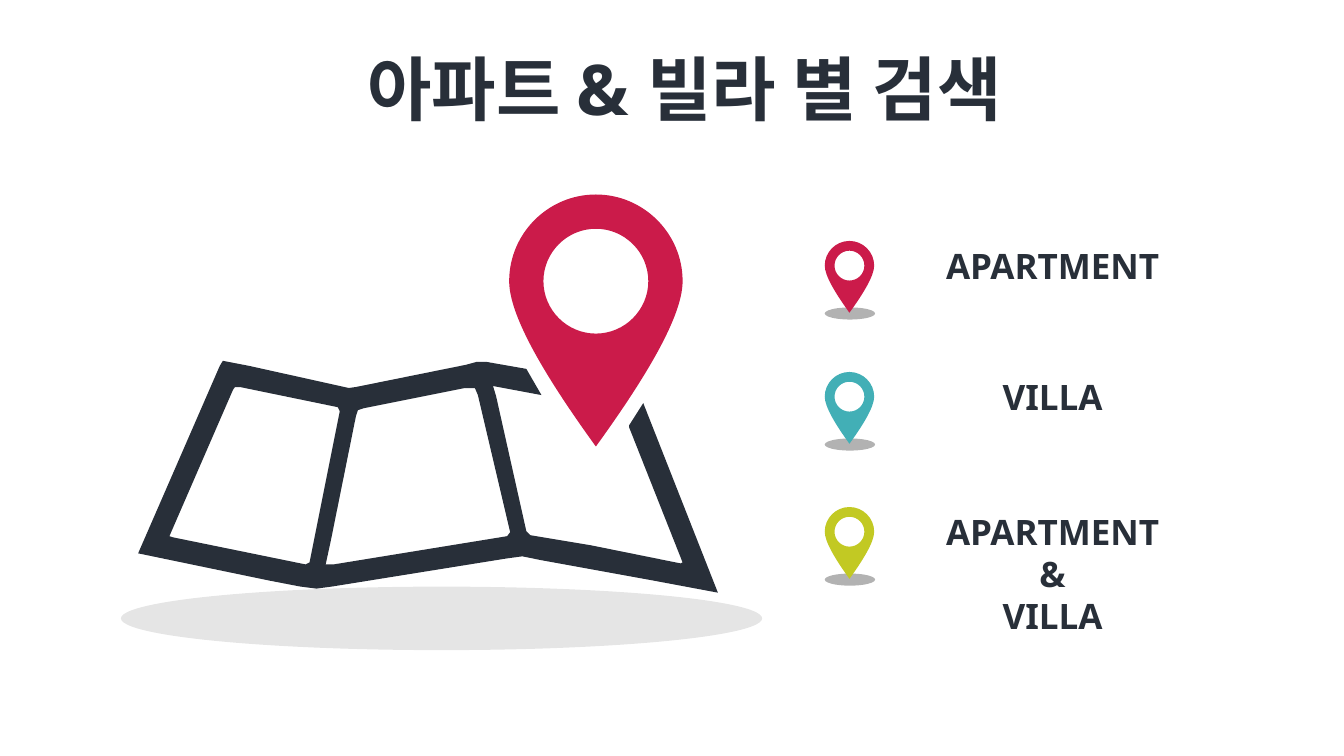
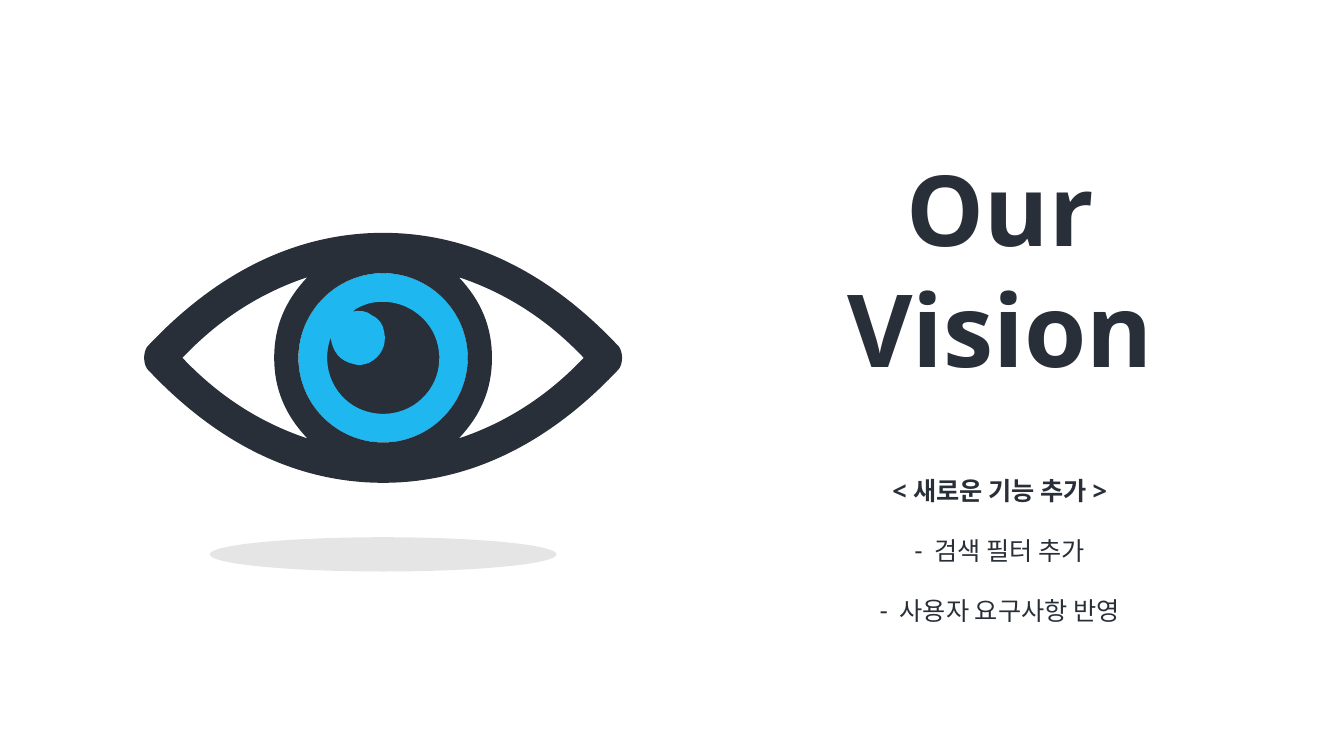
from lxml import etree
from pptx import Presentation
from pptx.dml.color import RGBColor
from pptx.enum.shapes import MSO_SHAPE
from pptx.enum.text import MSO_ANCHOR, MSO_AUTO_SIZE, PP_ALIGN
from pptx.oxml.ns import qn
from pptx.util import Inches, Pt

OVAL = MSO_SHAPE.OVAL
TOP, MIDDLE = MSO_ANCHOR.TOP, MSO_ANCHOR.MIDDLE
CENTER = PP_ALIGN.CENTER
NO_AUTOFIT = MSO_AUTO_SIZE.NONE

INK = RGBColor(0x28, 0x2F, 0x39)
CRIMSON = RGBColor(0xCB, 0x1B, 0x4A)
TEAL = RGBColor(0x42, 0xAF, 0xB6)
LIME = RGBColor(0xC2, 0xC9, 0x23)
SKY = RGBColor(0x1E, 0xB7, 0xF0)
BLACK = RGBColor(0, 0, 0)
WHITE = RGBColor(0xFF, 0xFF, 0xFF)

HEADING_FONT, LIST_FONT = "Noto Sans", "Open Sans"
FRAME_FORMAT = {
    "word_wrap": True,
    "auto_size": NO_AUTOFIT,
    "margin_left": Inches(0.05),
    "margin_right": Inches(0.05),
    "margin_top": Inches(0.05),
    "margin_bottom": Inches(0.05),
}
LIST_SPACING = {
    "line_spacing": Pt(22),
    "space_before": Pt(0),
    "space_after": Pt(21),
}
ARC_RATIO = 0.55

PIN_WIDTH, PIN_HEIGHT = 1.72, 2.5
MAP_BORDER = [
    (0, 1.91), (0.81, 0.05), (0.84, 0), (1.1, 0.05), (2.09, 0.27),
    (2.16, 0.26), (3.25, 0.04), (3.36, 0.01), (3.45, 0.01), (3.85, 0.08),
    (4, 0.34), (3.52, 0.25), (3.55, 0.35), (3.85, 1.69), (3.89, 1.73),
    (4.49, 1.83), (5.38, 2.01), (5.4, 2), (4.87, 0.66), (4.87, 0.64),
    (5.01, 0.42), (5.75, 2.3), (5.11, 2.18), (4.01, 1.98), (3.81, 1.94),
    (3.66, 1.96), (1.92, 2.24), (1.77, 2.26), (1.61, 2.24), (1.3, 2.18),
]
MAP_MIDDLE_FOLD = [
    (1.86, 2.02), (1.94, 2.02), (3.66, 1.74), (3.69, 1.7), (3.37, 0.34),
    (3.34, 0.27), (3.24, 0.27), (2.24, 0.47), (2.18, 0.49), (2.16, 0.55),
    (1.91, 1.79),
]
MAP_LEFT_FOLD = [
    (0.31, 1.74), (0.34, 1.75), (1.66, 2.02), (1.7, 2), (2, 0.5),
    (1.98, 0.46), (1.01, 0.26), (0.96, 0.26), (0.94, 0.29),
]
PUPIL_CURVE = [
    (-0.52, -0.2), (-0.63, 0.11), (-0.47, 0.42), (-0.2, 0.52),
    (0.07, 0.62), (0.38, 0.51), (0.51, 0.23),
    (0.62, -0.02), (0.54, -0.34), (0.26, -0.49),
    (0.13, -0.56), (-0.01, -0.57), (-0.14, -0.54),
    (-0.2, -0.52), (-0.26, -0.5), (-0.3, -0.46),
    (-0.23, -0.47), (-0.17, -0.47), (-0.11, -0.42),
    (-0.04, -0.39), (0, -0.33), (0.01, -0.26),
    (0.04, -0.13), (-0.02, -0.01), (-0.14, 0.05),
    (-0.19, 0.07), (-0.25, 0.08), (-0.3, 0.06),
    (-0.43, 0.03), (-0.5, -0.06), (-0.52, -0.2),
]


def mirror(points, x=1, y=1):
    return [(px * x, py * y) for px, py in reversed(points)]


def circle_curve(radius, x=0, y=0):
    handle = radius * ARC_RATIO
    quarter = [(radius, 0), (radius, -handle), (handle, -radius), (0, -radius)]
    upper = quarter + mirror(quarter, x=-1)[1:]
    return [(x + px, y + py) for px, py in upper + mirror(upper, y=-1)[1:]]


def paint(shape, color, opacity=None):
    shape.shadow.inherit = False
    shape.fill.solid()
    shape.fill.fore_color.rgb = color
    shape.line.fill.background()
    if opacity:
        tint = shape.fill._xPr.find(".//" + qn("a:srgbClr"))
        etree.SubElement(tint, qn("a:alpha"), val=str(opacity * 1000))


def add_oval(slide, left, top, width, height, color, opacity=None):
    oval = slide.shapes.add_shape(
        OVAL, Inches(left), Inches(top), Inches(width), Inches(height))
    paint(oval, color, opacity)


def add_outline(slide, left, top, contours, color, scale=1):
    placed = [[(Inches(left + x * scale), Inches(top + y * scale)) for x, y in contour]
              for contour in contours]
    builder = slide.shapes.build_freeform(*placed[0][0])
    builder.add_line_segments(placed[0][1:], close=True)
    for contour in placed[1:]:
        builder.move_to(*contour[0])
        builder.add_line_segments(contour[1:], close=True)
    outline = builder.convert_to_shape()
    paint(outline, color)
    return outline


def add_curved_outline(slide, left, top, contours, color, scale=1):
    outline = add_outline(slide, left, top, contours, color, scale)
    segments = list(outline._element.iter(qn("a:lnTo")))
    offset = 0
    for contour in contours:
        for _ in range((len(contour) - 1) // 3):
            group = segments[offset:offset + 3]
            curve = etree.Element(qn("a:cubicBezTo"))
            group[0].addprevious(curve)
            for segment in group:
                curve.append(segment[0])
                segment.getparent().remove(segment)
            offset += 3


def format_frame(frame, anchor):
    for name, value in FRAME_FORMAT.items():
        setattr(frame, name, value)
    frame.vertical_anchor = anchor


def place(shape, left, top, width, height):
    shape.left, shape.top = Inches(left), Inches(top)
    shape.width, shape.height = Inches(width), Inches(height)


def fill_white(shape):
    shape.fill.solid()
    shape.fill.fore_color.rgb = WHITE


def add_run(paragraph, text, size, bold=True, font=HEADING_FONT):
    run = paragraph.add_run()
    run.text = text
    style = {"name": font, "size": Pt(size), "bold": bold}
    for name, value in style.items():
        setattr(run.font, name, value)
    run.font.color.rgb = INK


def open_title(slide, box):
    title = slide.shapes.title
    place(title, *box)
    format_frame(title.text_frame, MIDDLE)
    paragraph = title.text_frame.paragraphs[0]
    paragraph.alignment = CENTER
    return paragraph


def add_pin(slide, left, top, width, color):
    radius = PIN_WIDTH / 2
    handle = radius * ARC_RATIO
    right = [(0, -radius), (handle, -radius), (radius, -handle), (radius, 0),
             (radius, 0.36), (0.47, 0.99), (0, PIN_HEIGHT - radius)]
    body = right + mirror(right, x=-1)[1:]
    scale = width / PIN_WIDTH
    add_curved_outline(slide, left + width / 2, top + width / 2,
                       [body, circle_curve(0.52)], color, scale)


def add_map(slide, left, top):
    add_oval(slide, left, top + 3.89, 6.36, 0.63, BLACK, 10)
    add_outline(slide, left + 0.17, top + 1.65,
                [MAP_BORDER, MAP_MIDDLE_FOLD, MAP_LEFT_FOLD], INK)
    add_pin(slide, left + 3.85, top, PIN_WIDTH, CRIMSON)


def add_legend_entry(slide, left, top, color, lines):
    add_oval(slide, left, top + 0.66, 0.5, 0.12, BLACK, 30)
    add_pin(slide, left, top, 0.49, color)
    label = slide.shapes.add_textbox(
        Inches(left + 0.79), Inches(top - 0.01), Inches(2.94),
        Inches(0.1 + 0.42 * len(lines)))
    frame = label.text_frame
    format_frame(frame, TOP)
    for index, line in enumerate(lines):
        paragraph = frame.add_paragraph() if index else frame.paragraphs[0]
        paragraph.alignment = CENTER
        add_run(paragraph, line, 25)


def add_eye(slide, x, y):
    lid = [(2.37, 0), (2.37, -0.04), (2.36, -0.08), (2.34, -0.11),
           (1.6, -0.9), (0.8, -1.24), (0, -1.24)]
    upper = lid + mirror(lid, x=-1)[1:]
    rim = upper + mirror(upper, y=-1)[1:]
    edge = [(0.75, -0.8), (1.23, -0.64), (1.64, -0.37), (1.99, 0)]
    iris_side = [(0.75, 0.8), (0.97, 0.57), (1.08, 0.31), (1.08, 0)]
    right_white = (edge + mirror(edge, y=-1)[1:]
                   + iris_side[1:] + mirror(iris_side, y=-1)[1:])
    left_white = mirror(right_white, x=-1)
    iris = circle_curve(0.84)
    add_oval(slide, x - 0.6, y - 0.63, 1.2, 1.2, INK)
    add_curved_outline(slide, x, y, [iris, PUPIL_CURVE], SKY)
    add_curved_outline(slide, x, y, [rim, right_white, iris, left_white], INK)


def add_feature_list(slide, box, heading, features):
    body = slide.placeholders[1]
    place(body, *box)
    fill_white(body)
    frame = body.text_frame
    format_frame(frame, TOP)
    for index, line in enumerate([heading] + features):
        is_heading = index == 0
        paragraph = frame.paragraphs[0] if is_heading else frame.add_paragraph()
        paragraph.alignment = CENTER
        for name, value in LIST_SPACING.items():
            setattr(paragraph, name, value)
        properties = paragraph._p.get_or_add_pPr()
        indent = 0 if is_heading else Inches(0.2)
        properties.set("marL", str(indent))
        properties.set("indent", str(-indent))
        if is_heading:
            etree.SubElement(properties, qn("a:buNone"))
        else:
            etree.SubElement(properties, qn("a:buChar"), char="-")
        add_run(paragraph, line, 18, is_heading, LIST_FONT)


def build_search_slide(deck):
    slide = deck.slides.add_slide(deck.slide_layouts[5])
    title = open_title(slide, (2.76, 0.38, 8.06, 0.98))
    add_run(title, "아파트 & 빌라 별 검색", 50)
    add_map(slide, 1.2, 1.93)
    legend = [
        (2.39, CRIMSON, ["APARTMENT"]),
        (3.69, TEAL, ["VILLA"]),
        (5.03, LIME, ["APARTMENT", "&", "VILLA"]),
    ]
    for top, color, lines in legend:
        add_legend_entry(slide, 8.18, top, color, lines)


def build_vision_slide(deck):
    slide = deck.slides.add_slide(deck.slide_layouts[1])
    title = open_title(slide, (7.63, 1.43, 4.58, 2.46))
    fill_white(slide.shapes.title)
    add_run(title, "Our ", 70)
    add_run(title, "Vision", 72)
    add_eye(slide, 3.8, 3.55)
    add_feature_list(slide, (7.79, 4.66, 4.25, 1.68), "< 새로운 기능 추가 >",
                     ["검색 필터 추가", "사용자 요구사항 반영"])
    add_oval(slide, 2.08, 5.33, 3.44, 0.34, BLACK, 10)


def main():
    deck = Presentation()
    deck.slide_width, deck.slide_height = Inches(13.33), Inches(7.5)
    build_search_slide(deck)
    build_vision_slide(deck)
    deck.save("out.pptx")


if __name__ == "__main__":
    main()
